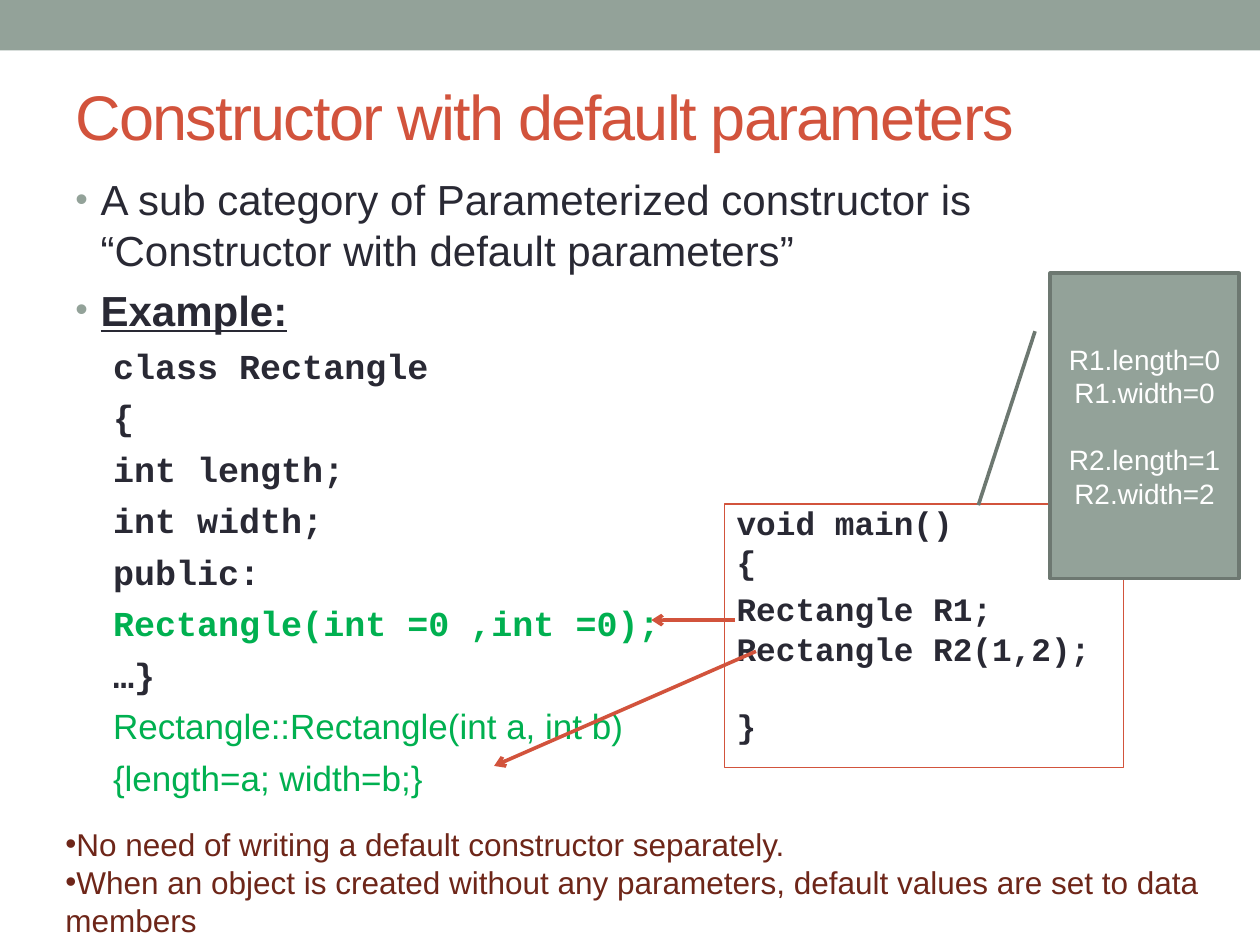
"""Build the slide on constructors with default parameters."""
from lxml import etree
from pptx import Presentation
from pptx import util as u
from pptx.dml.color import RGBColor
from pptx.enum import shapes, text
from pptx.oxml import ns

COLORS = {"sage": "93A299", "edge": "6D7871", "red": "D2533C", "ink": "292934",
          "green": "00B050", "brown": "6E2619", "white": "FFFFFF"}


def rgb(name):
    return RGBColor.from_string(COLORS[name])


def add_line(frame, words, size, color, font="Arial", bold=False, underline=False,
             before=0, spacing=None, indent=0, hanging=0, bullet=None, align="LEFT"):
    frame.word_wrap = True
    para = frame.paragraphs[0]
    if para.runs:
        para = frame.add_paragraph()
    para.alignment = getattr(text.PP_ALIGN, align)
    para.space_before = u.Pt(before)
    if spacing:
        para.line_spacing = spacing
    run = para.add_run()
    run.text = words
    run.font.size, run.font.name = u.Pt(size), font
    run.font.bold, run.font.underline = bold, underline
    run.font.color.rgb = rgb(color)
    props = para._p.get_or_add_pPr()
    props.set("marL", str(u.Cm(indent)))
    props.set("indent", str(u.Cm(-hanging)))
    if bullet:
        tint = etree.SubElement(props, ns.qn("a:buClr"))
        etree.SubElement(tint, ns.qn("a:srgbClr")).set("val", COLORS[bullet])
        etree.SubElement(props, ns.qn("a:buSzPct")).set("val", "85000" if hanging else "100000")
        etree.SubElement(props, ns.qn("a:buFont")).set("typeface", "Arial")
        etree.SubElement(props, ns.qn("a:buChar")).set("char", "•")
    return run


deck = Presentation()
deck.slide_width, deck.slide_height = u.Cm(25.4), u.Cm(19.05)
slide = deck.slides.add_slide(deck.slide_layouts[6])
canvas = slide.shapes

band = canvas.add_shape(shapes.MSO_SHAPE.RECTANGLE, 0, 0, deck.slide_width, u.Cm(1.02))
band.shadow.inherit = False
band.fill.solid()
band.fill.fore_color.rgb = rgb("sage")
band.line.fill.background()

title = canvas.add_textbox(u.Cm(1.27), u.Cm(1.47), u.Cm(22.86), u.Cm(1.7)).text_frame
title.vertical_anchor = text.MSO_ANCHOR.MIDDLE
heading = add_line(title, "Constructor with default parameters", 36, "red")
heading.font._element.set("spc", "-100")

lesson = canvas.add_textbox(u.Cm(1.27), u.Cm(3.38), u.Cm(22.86), u.Cm(14.6)).text_frame
point = dict(before=5.5, indent=0.51, hanging=0.51, bullet="sage")
add_line(lesson, "A sub category of Parameterized constructor is “Constructor with default parameters”",
         24, "ink", **point)
add_line(lesson, "Example:", 24, "ink", bold=True, underline=True, **point)
for code, color in [("class Rectangle", "ink"), ("{", "ink"), ("int length;", "ink"),
                    ("int width;", "ink"), ("public:", "ink"),
                    ("Rectangle(int =0 ,int =0);", "green"), ("…}", "ink")]:
    add_line(lesson, code, 20, color, "Courier New", True, before=5.4, indent=0.76)
for code in ["Rectangle::Rectangle(int a, int b)", "{length=a; width=b;}"]:
    add_line(lesson, code, 20, "green", before=5.4, indent=1.27, hanging=0.51)

main_box = canvas.add_shape(shapes.MSO_SHAPE.RECTANGLE, u.Cm(14.6), u.Cm(10.16), u.Cm(8.05), u.Cm(5.31))
main_box.shadow.inherit = False
main_box.fill.background()
main_box.line.color.rgb = rgb("red")
main_box.line.width = u.Pt(0.75)
main_box.text_frame.vertical_anchor = text.MSO_ANCHOR.TOP
for code, spacing, before in [("void main()", 0.8, 4.5), ("{", 0.8, 4.5), ("Rectangle R1;", 1, 4.5),
                              ("Rectangle R2(1,2);", 0.8, 4.5), ("}", 0.8, 26.5)]:
    add_line(main_box.text_frame, code, 18.7, "ink", "Courier New", True,
             before=before, spacing=spacing)

for x1, y1, x2, y2 in [(14.81, 12.5, 13.13, 12.5), (15.24, 13.13, 9.96, 15.44)]:
    call = canvas.add_connector(shapes.MSO_CONNECTOR.STRAIGHT, u.Cm(x1), u.Cm(y1), u.Cm(x2), u.Cm(y2))
    call.line.color.rgb = rgb("red")
    call.line.width = u.Pt(2.08)
    etree.SubElement(call.line._get_or_add_ln(), ns.qn("a:tailEnd")).set("type", "arrow")
    etree.SubElement(call._element.spPr, ns.qn("a:effectLst"))

remarks = canvas.add_textbox(u.Cm(1.07), u.Cm(16.51), u.Cm(23.7), u.Cm(3.33)).text_frame
remarks.auto_size = text.MSO_AUTO_SIZE.SHAPE_TO_FIT_TEXT
for remark in ["No need of writing a default constructor separately.",
               "When an object is created without any parameters, default values are set to data members"]:
    add_line(remarks, remark, 18, "brown", bullet="brown")

values = canvas.add_shape(shapes.MSO_SHAPE.LINE_CALLOUT_1, u.Cm(21.17), u.Cm(5.51), u.Cm(3.81), u.Cm(6.15))
values.shadow.inherit = False
for index, ratio in enumerate([0.19, -0.08, 0.76, -0.38]):
    values.adjustments[index] = ratio
values.fill.solid()
values.fill.fore_color.rgb = rgb("sage")
values.line.color.rgb = rgb("edge")
values.line.width = u.Pt(2.08)
values.text_frame.vertical_anchor = text.MSO_ANCHOR.MIDDLE
for value, before in [("R1.length=0", 0), ("R1.width=0", 0), ("R2.length=1", 19), ("R2.width=2", 0)]:
    add_line(values.text_frame, value, 16, "white", before=before, align="CENTER")

deck.save("out.pptx")
